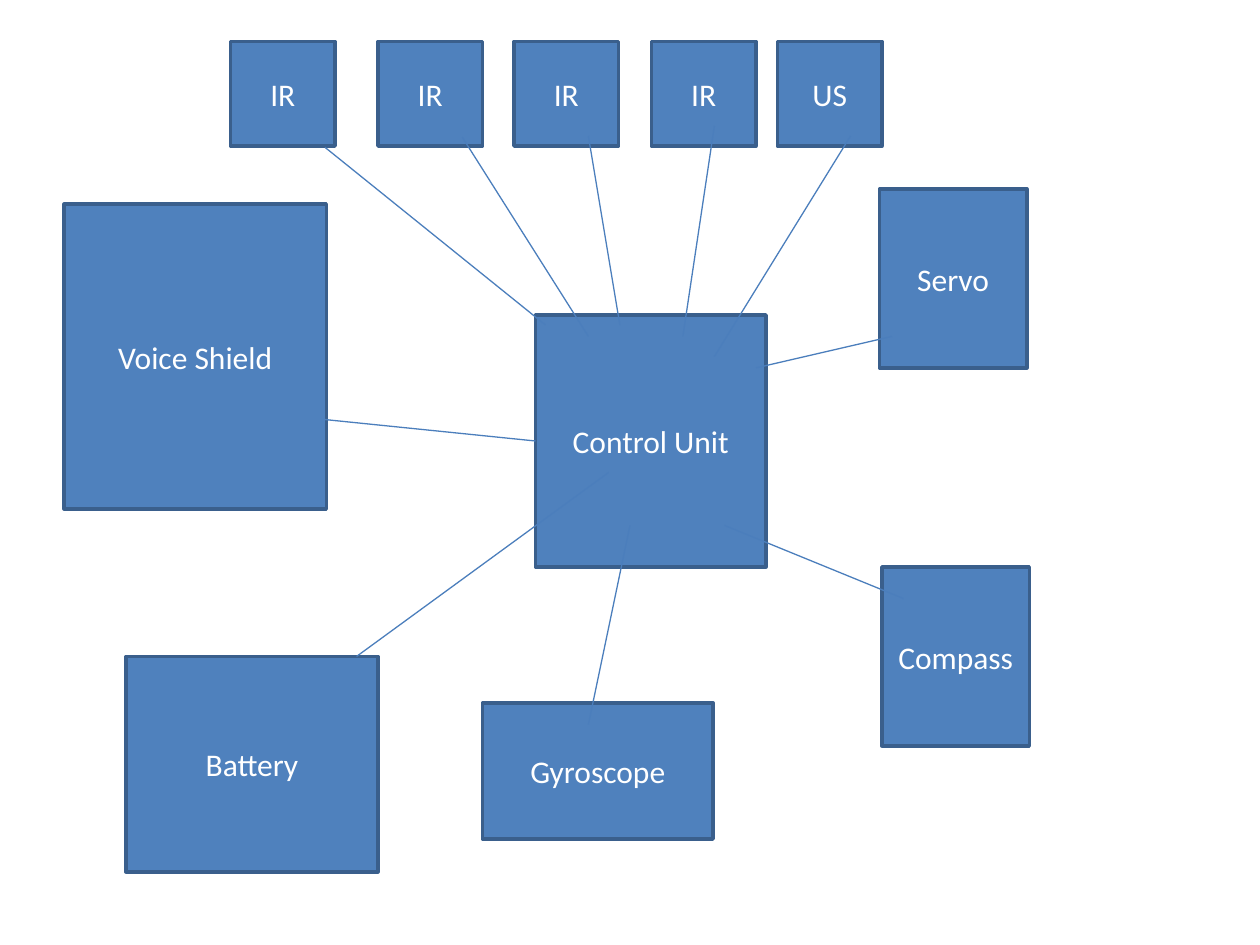
from dataclasses import dataclass
from typing import NamedTuple

from pptx import Presentation
from pptx.dml.color import RGBColor
from pptx.enum.shapes import MSO_CONNECTOR as Connector, MSO_SHAPE as Shape
from pptx.enum.text import MSO_ANCHOR as Anchor, PP_ALIGN as Align
from pptx.oxml.xmlchemy import OxmlElement
from pptx.util import Inches, Pt


@dataclass(frozen=True)
class Theme:
    fill: RGBColor = RGBColor.from_string("4F81BD")
    border: RGBColor = RGBColor.from_string("3A5F8C")
    wire: RGBColor = RGBColor.from_string("4B7EBC")
    text: RGBColor = RGBColor.from_string("FFFFFF")
    font: str = "Calibri"
    text_size: float = 18
    border_width: float = 2
    wire_width: float = 0.75


class Part(NamedTuple):
    label: str
    left: float
    top: float
    width: float
    height: float


class Wire(NamedTuple):
    x1: float
    y1: float
    x2: float
    y2: float


THEME = Theme()
SENSOR_TOP, SENSOR_SIZE = 0.33, 0.83
SENSORS = [("IR", 1.83), ("IR", 3), ("IR", 4.08), ("IR", 5.17), ("US", 6.17)]

PARTS = [
    Part("Control Unit", 4.25, 2.5, 1.83, 2),
    *(Part(label, left, SENSOR_TOP, SENSOR_SIZE, SENSOR_SIZE) for label, left in SENSORS),
    Part("Servo", 6.98, 1.5, 1.17, 1.42),
    Part("Compass", 7, 4.5, 1.17, 1.42),
    Part("Voice Shield", 0.51, 1.62, 2.08, 2.42),
    Part("Gyroscope", 3.83, 5.58, 1.83, 1.08),
    Part("Battery", 1, 5.21, 2, 1.71),
]

WIRES = [
    Wire(2.58, 1.17, 4.33, 2.58),
    Wire(3.67, 1.09, 4.67, 2.67),
    Wire(4.67, 1.08, 4.92, 2.58),
    Wire(5.67, 1, 5.42, 2.67),
    Wire(6.75, 1.08, 5.67, 2.83),
    Wire(7.08, 2.67, 6, 2.92),
    Wire(7.17, 4.75, 5.75, 4.17),
    Wire(2.58, 3.33, 4.25, 3.5),
    Wire(4.67, 5.75, 5, 4.17),
    Wire(2.83, 5.21, 4.83, 3.75),
]


def write_text(frame, text: str, *, size: float, color: RGBColor, align: Align) -> None:
    frame.word_wrap = True
    frame.vertical_anchor = Anchor.MIDDLE
    para = frame.paragraphs[0]
    para.alignment = align
    span = para.add_run()
    span.text = text
    span.font.name = THEME.font
    span.font.size = Pt(size)
    span.font.color.rgb = color


def draw_part(page, part: Part) -> None:
    box = page.shapes.add_shape(Shape.RECTANGLE, *map(Inches, part[1:]))
    box.shadow.inherit = False
    box.fill.solid()
    box.fill.fore_color.rgb = THEME.fill
    box.line.color.rgb = THEME.border
    box.line.width = Pt(THEME.border_width)
    write_text(box.text_frame, part.label, size=THEME.text_size,
               color=THEME.text, align=Align.CENTER)


def draw_wire(page, wire: Wire) -> None:
    line = page.shapes.add_connector(Connector.STRAIGHT, *map(Inches, wire))
    line.line.color.rgb = THEME.wire
    line.line.width = Pt(THEME.wire_width)
    line._element.spPr.append(OxmlElement("a:effectLst"))


def build() -> None:
    deck = Presentation()
    deck.slide_width, deck.slide_height = Inches(10), Inches(7.5)
    page = deck.slides.add_slide(deck.slide_layouts[6])
    for part in PARTS:
        draw_part(page, part)
    for wire in WIRES:
        draw_wire(page, wire)
    deck.save("out.pptx")


build()
